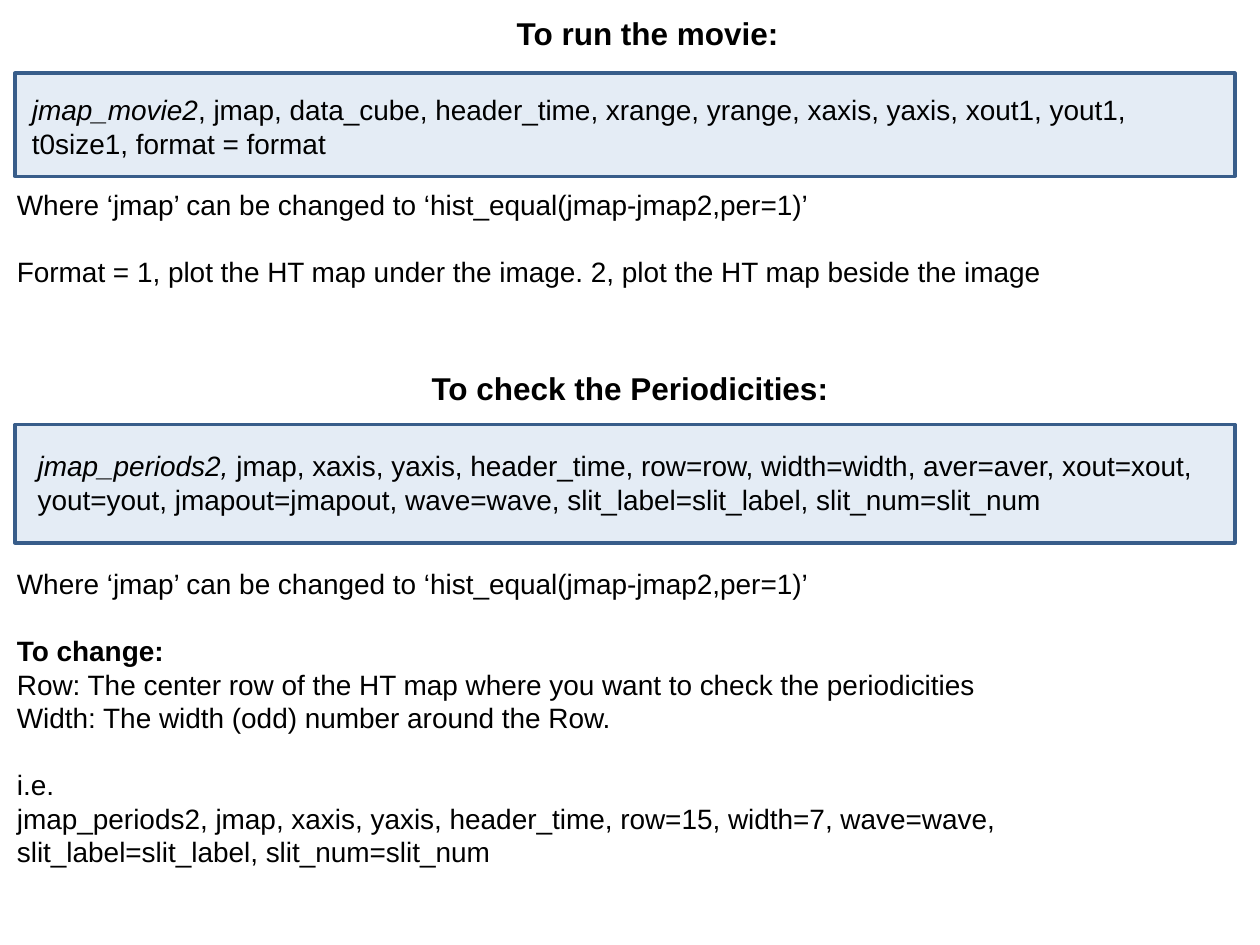
from lxml.etree import SubElement
from pptx import Presentation
from pptx.dml.color import RGBColor
from pptx.enum.shapes import MSO_SHAPE as Shape
from pptx.enum.text import MSO_AUTO_SIZE as Fit, PP_ALIGN as Align
from pptx.oxml.ns import qn
from pptx.util import Pt

BLACK = RGBColor(0, 0, 0)
BLUE = RGBColor(0x4F, 0x81, 0xBD)
NAVY = RGBColor(0x38, 0x5D, 0x8A)
GAP = 19


class Page:
    """Style and current slide of the command guide."""

    font = "Arial"
    body = 16
    head = 18

    def __init__(self, slide):
        self.slide = slide

    def panel(self, x, y, w, h):
        box = self.slide.shapes.add_shape(Shape.RECTANGLE, Pt(x), Pt(y), Pt(w), Pt(h))
        box.shadow.inherit = False
        box.fill.solid()
        box.fill.fore_color.rgb = BLUE
        color = box.fill._xPr.find(qn("a:solidFill"))[0]
        SubElement(color, qn("a:alpha"), val="15000")
        box.line.color.rgb = NAVY
        box.line.width = Pt(2)

    def run(self, para, text, size, bold=False, slant=False):
        run = para.add_run()
        run.text = text
        font = run.font
        font.name, font.size = self.font, Pt(size)
        font.bold, font.italic = bold, slant
        font.color.rgb = BLACK

    def frame(self, x, y, w, h):
        frame = self.slide.shapes.add_textbox(Pt(x), Pt(y), Pt(w), Pt(h)).text_frame
        frame.word_wrap = True
        frame.auto_size = Fit.SHAPE_TO_FIT_TEXT
        return frame

    def title(self, x, y, w, text):
        para = self.frame(x, y, w, 29).paragraphs[0]
        para.alignment = Align.CENTER
        self.run(para, text, self.head, bold=True)

    def code(self, x, y, w, name, args):
        para = self.frame(x, y, w, 46).paragraphs[0]
        self.run(para, name, self.body, slant=True)
        self.run(para, args, self.body)

    def notes(self, x, y, w, h, blocks):
        frame = self.frame(x, y, w, h)
        para = frame.paragraphs[0]
        for i, block in enumerate(blocks):
            for j, text in enumerate(block):
                if i or j:
                    para = frame.add_paragraph()
                if i and not j:
                    para.space_before = Pt(GAP)
                self.run(para, text, self.body, bold=text == "To change:")


def main():
    deck = Presentation()
    deck.slide_width, deck.slide_height = Pt(720), Pt(540)
    page = Page(deck.slides.add_slide(deck.slide_layouts[6]))
    swap = "Where ‘jmap’ can be changed to ‘hist_equal(jmap-jmap2,per=1)’"

    page.panel(8.6, 242.6, 697, 67.7)
    page.panel(8.6, 41.8, 697, 59)

    page.title(14.4, 4.3, 711.4, "To run the movie:")
    page.code(11.2, 49.3, 689, "jmap_movie2",
              ", jmap, data_cube, header_time, xrange, yrange, xaxis, yaxis, "
              "xout1, yout1, t0size1, format = format")
    page.notes(2.6, 103.7, 708.5, 84, [
        [swap],
        ["Format = 1, plot the HT map under the image. 2, plot the HT map beside the image"],
    ])

    page.title(180, 207.4, 360, "To check the Periodicities:")
    page.code(14.4, 253, 686, "jmap_periods2, ",
              "jmap, xaxis, yaxis, header_time, row=row, width=width, aver=aver, "
              "xout=xout, yout=yout, jmapout=jmapout, wave=wave, "
              "slit_label=slit_label, slit_num=slit_num")
    page.notes(2.6, 320.4, 705.6, 180, [
        [swap],
        ["To change:",
         "Row: The center row of the HT map where you want to check the periodicities",
         "Width: The width (odd) number around the Row."],
        ["i.e.",
         "jmap_periods2, jmap, xaxis, yaxis, header_time, row=15, width=7, wave=wave, "
         "slit_label=slit_label, slit_num=slit_num"],
    ])
    deck.save("out.pptx")


if __name__ == "__main__":
    main()
